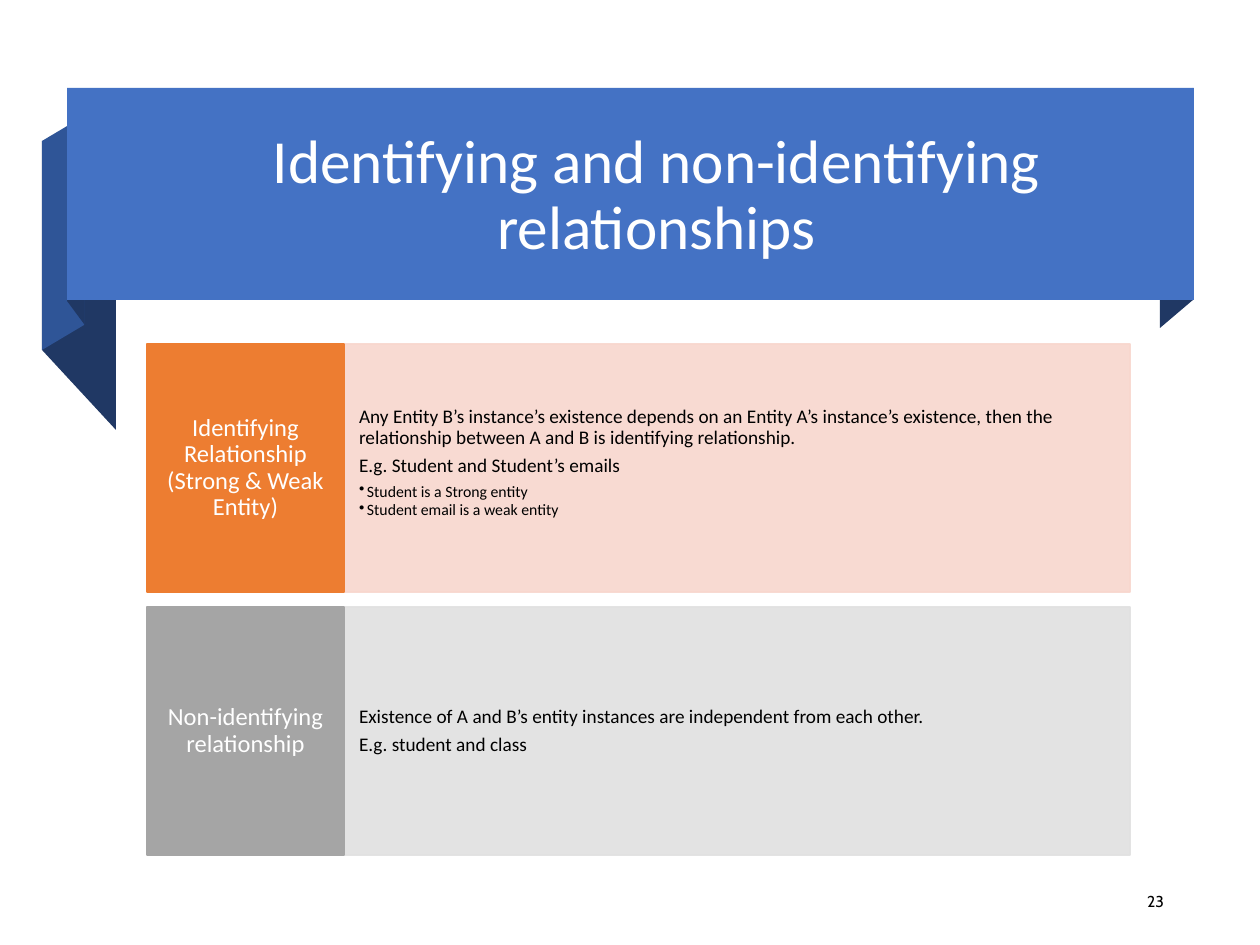
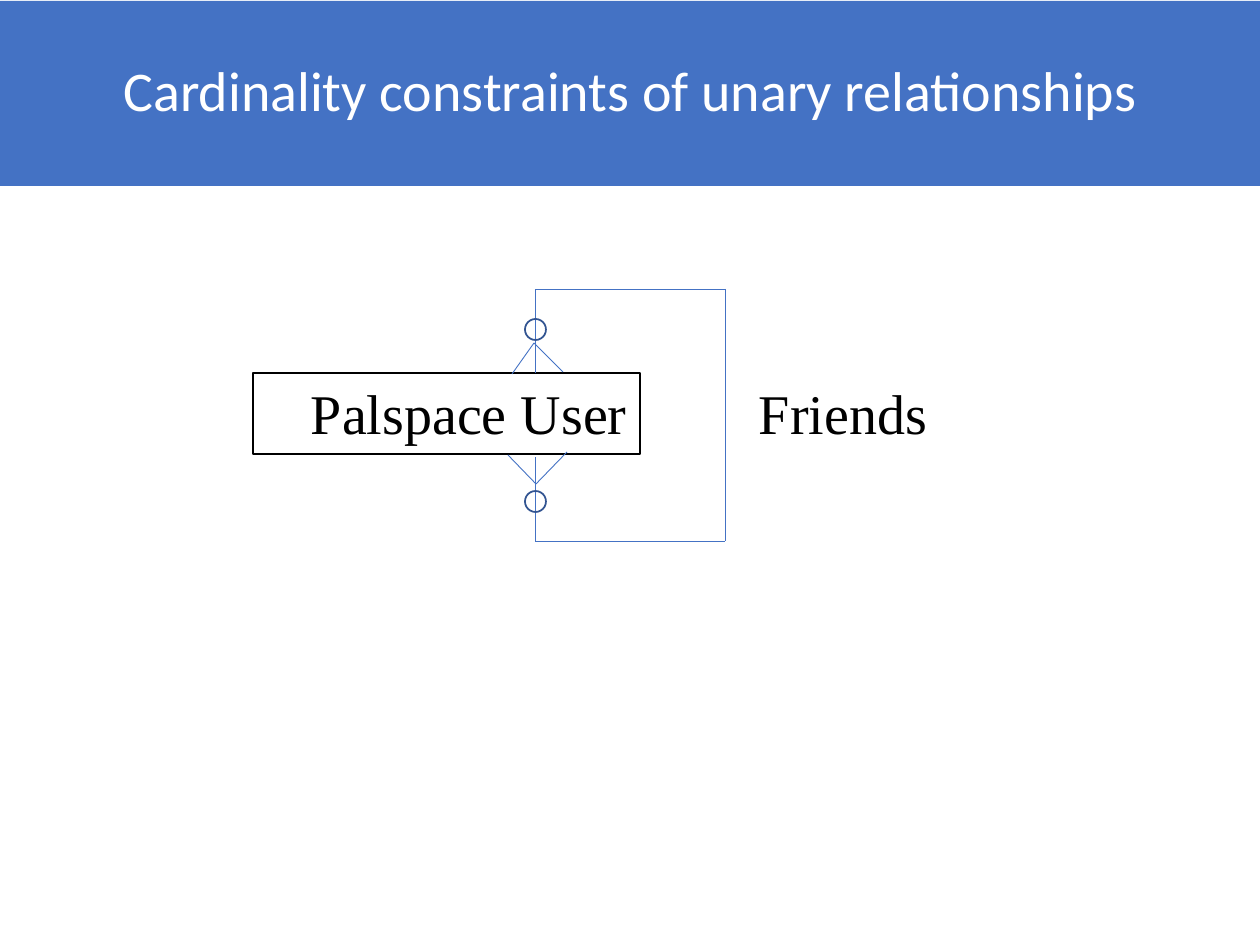
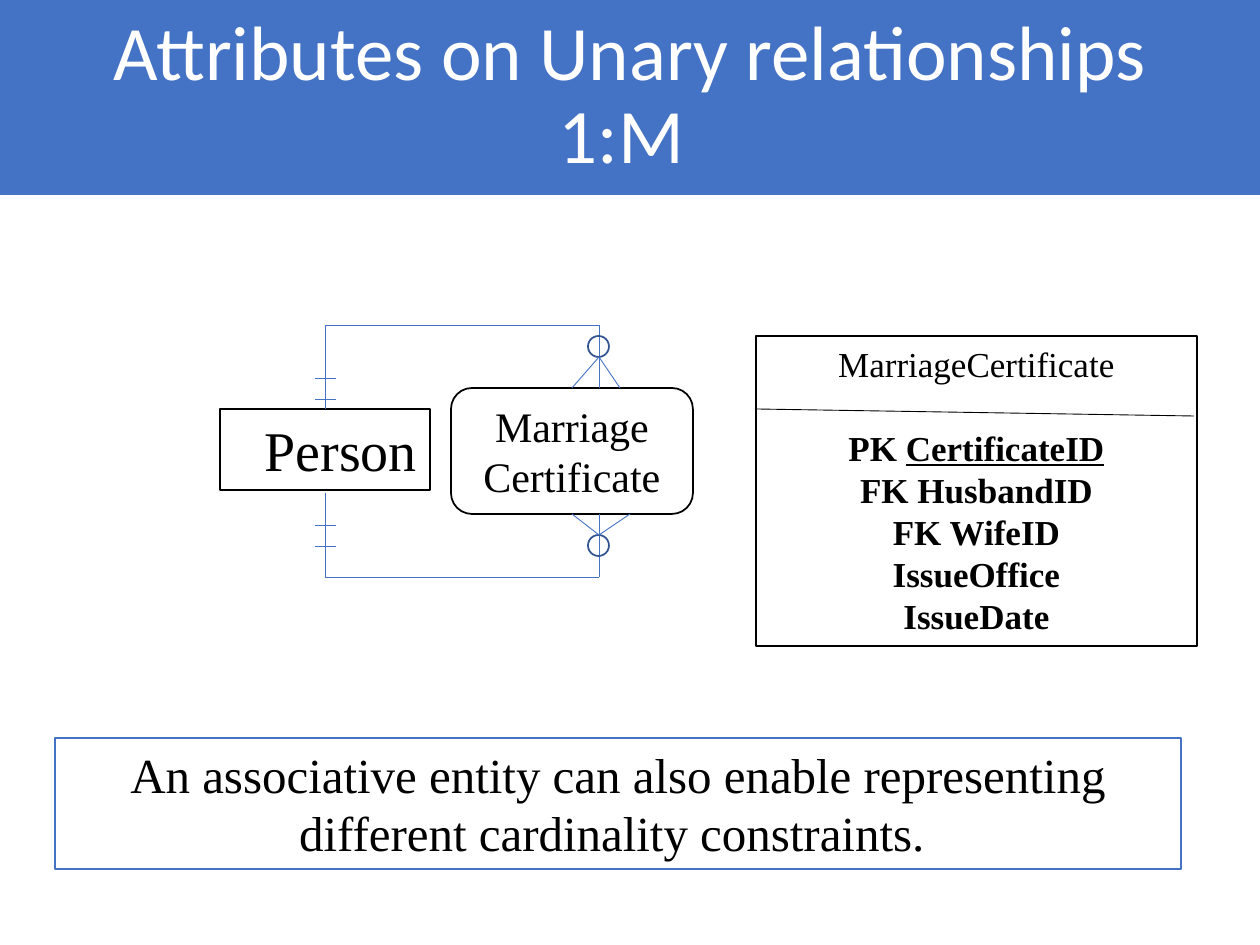
import dataclasses
import itertools
import typing

import lxml.etree
import pptx
import pptx.dml.color
import pptx.enum.shapes
import pptx.enum.text
import pptx.oxml.ns
import pptx.util

PX = 914400 / 126
COLORS = {
    "band": "4472C4",
    "fold": "203864",
    "side": "2F5597",
    "circle": "325491",
    "orange": "ED7D31",
    "orange_pale": "F8D7CE",
    "gray": "A5A5A5",
    "gray_pale": "E1E1E1",
    "black": "000000",
    "white": "FFFFFF",
}
SANS = "Calibri"
SERIF = "Times New Roman"
SHAPE = pptx.enum.shapes.MSO_SHAPE
ALIGN = pptx.enum.text.PP_ALIGN
ANCHOR = pptx.enum.text.MSO_ANCHOR
CIRCLE_SIZE = 21

Point = tuple[int, int]


@dataclasses.dataclass(frozen=True)
class Box:
    left: int
    top: int
    width: int
    height: int

    def emu(self) -> list[int]:
        return [px(length) for length in dataclasses.astuple(self)]


@dataclasses.dataclass(frozen=True)
class TextStyle:
    size: int
    font: str = SERIF
    color: str = "black"
    align: typing.Any = ALIGN.LEFT
    bold: bool = False
    spacing: float = 1.0
    before: int = 0
    after: int = 0
    bullet: bool = False


@dataclasses.dataclass(frozen=True)
class Line:
    text: str
    style: TextStyle
    underlined: str = ""


@dataclasses.dataclass(frozen=True)
class Panel:
    label: str
    color: str
    pale: str
    lines: list[Line]
    anchor: typing.Any


@dataclasses.dataclass(frozen=True)
class Segment:
    begin: Point
    end: Point
    color: str = "band"


ENTITY = TextStyle(32, align=ALIGN.RIGHT)
FIELD = TextStyle(20, align=ALIGN.CENTER, bold=True)
LABEL = TextStyle(14, SANS, "white", ALIGN.CENTER, spacing=0.9)
BODY = TextStyle(11, SANS, spacing=0.9, after=4)
BULLET = TextStyle(9, SANS, spacing=0.9, after=1, bullet=True)

FOLDS = [
    ("fold", [(1193, 300), (1160, 328), (1160, 115), (1193, 88)]),
    ("fold", [(116, 430), (42, 350), (42, 141), (116, 220)]),
    ("side", [(84, 325), (42, 350), (42, 141), (84, 116)]),
    ("fold", [(84, 324), (67, 301), (67, 88), (84, 112)]),
]

PANELS = [
    Panel(
        "Identifying Relationship (Strong & Weak Entity)", "orange", "orange_pale",
        [
            Line("Any Entity B’s instance’s existence depends on an Entity A’s instance’s "
                 "existence, then the relationship between A and B is identifying relationship.", BODY),
            Line("E.g. Student and Student’s emails", BODY),
            Line("Student is a Strong entity", BULLET),
            Line("Student email is a weak entity", BULLET),
        ],
        ANCHOR.TOP,
    ),
    Panel(
        "Non-identifying relationship", "gray", "gray_pale",
        [
            Line("Existence of A and B’s entity instances are independent from each other.", BODY),
            Line("E.g. student and class", BODY),
        ],
        ANCHOR.MIDDLE,
    ),
]


def px(length: float) -> int:
    return round(length * PX)


def rgb(name: str) -> pptx.dml.color.RGBColor:
    return pptx.dml.color.RGBColor.from_string(COLORS[name])


def paint(shape, fill: str = "", line: str = "", width: float = 1) -> None:
    shape.shadow.inherit = False
    if fill:
        shape.fill.solid()
        shape.fill.fore_color.rgb = rgb(fill)
    else:
        shape.fill.background()
    if line:
        shape.line.color.rgb = rgb(line)
        shape.line.width = pptx.util.Pt(width)
    else:
        shape.line.fill.background()


def set_opacity(shape, percent: int) -> None:
    for color in shape.element.spPr.iter(pptx.oxml.ns.qn("a:srgbClr")):
        alpha = lxml.etree.SubElement(color, pptx.oxml.ns.qn("a:alpha"))
        alpha.set("val", str(percent * 1000))


def add_bullet(paragraph) -> None:
    properties = paragraph._p.get_or_add_pPr()
    properties.set("marL", str(px(8)))
    properties.set("indent", str(px(-8)))
    bullet = lxml.etree.SubElement(properties, pptx.oxml.ns.qn("a:buChar"))
    bullet.set("char", "•")


def write(shape, lines: list[Line], anchor=ANCHOR.TOP, inset: Point = (13, 6)) -> None:
    frame = shape.text_frame
    frame.word_wrap = True
    frame.auto_size = pptx.enum.text.MSO_AUTO_SIZE.NONE
    frame.vertical_anchor = anchor
    frame.margin_left = frame.margin_right = px(inset[0])
    frame.margin_top = frame.margin_bottom = px(inset[1])
    for index, line in enumerate(lines):
        paragraph = frame.add_paragraph() if index else frame.paragraphs[0]
        style = line.style
        paragraph.text = line.text
        if line.underlined:
            run = paragraph.add_run()
            run.text = line.underlined
            run.font.underline = True
        if style.bullet:
            add_bullet(paragraph)
        paragraph.alignment = style.align
        paragraph.line_spacing = style.spacing
        paragraph.space_before = pptx.util.Pt(style.before)
        paragraph.space_after = pptx.util.Pt(style.after)
        paragraph.font.name = style.font
        paragraph.font.size = pptx.util.Pt(style.size)
        paragraph.font.bold = style.bold
        paragraph.font.color.rgb = rgb(style.color)


def add_box(slide, box: Box, fill: str = "", line: str = "", width: float = 0.75,
            kind=SHAPE.RECTANGLE):
    shape = slide.shapes.add_shape(kind, *box.emu())
    paint(shape, fill, line, width)
    return shape


def add_text(slide, box: Box, line: Line, anchor=ANCHOR.TOP) -> None:
    write(slide.shapes.add_textbox(*box.emu()), [line], anchor)


def add_segment(slide, segment: Segment):
    connector = slide.shapes.add_connector(
        pptx.enum.shapes.MSO_CONNECTOR.STRAIGHT,
        *[px(length) for length in segment.begin + segment.end])
    connector.line.color.rgb = rgb(segment.color)
    connector.line.width = pptx.util.Pt(0.5)
    lxml.etree.SubElement(connector.element.spPr, pptx.oxml.ns.qn("a:effectLst"))
    return connector


def add_route(slide, points: list[Point]) -> list:
    return [add_segment(slide, Segment(begin, end)) for begin, end in itertools.pairwise(points)]


def add_circle(slide, left: int, top: int) -> None:
    add_box(slide, Box(left, top, CIRCLE_SIZE, CIRCLE_SIZE), line="circle", width=1, kind=SHAPE.OVAL)


def add_titled_slide(presentation, title: str, size: int, box: Box, fill: str = "band"):
    slide = presentation.slides.add_slide(presentation.slide_layouts[5])
    shape = slide.shapes.title
    shape.left, shape.top, shape.width, shape.height = box.emu()
    if fill:
        shape.fill.solid()
        shape.fill.fore_color.rgb = rgb(fill)
    style = TextStyle(size, SANS, "white", ALIGN.CENTER, spacing=0.9)
    write(shape, [Line(title, style)], ANCHOR.MIDDLE)
    return slide


def add_ribbon(slide) -> None:
    for color, points in FOLDS:
        builder = slide.shapes.build_freeform(*points[0], scale=PX)
        builder.add_line_segments(points[1:], close=True)
        paint(builder.convert_to_shape(), color)
    add_box(slide, Box(67, 88, 1127, 212), "band")
    title = slide.shapes.title.element
    title.getparent().append(title)


def add_panel(slide, panel: Panel, top: int) -> None:
    description = add_box(slide, Box(344, top, 786, 248), panel.pale, panel.pale, 1)
    set_opacity(description, 90)
    write(description, panel.lines, panel.anchor, (15, 63))
    label = add_box(slide, Box(147, top, 197, 248), panel.color, panel.color, 1)
    write(label, [Line(panel.label, LABEL)], ANCHOR.MIDDLE, (10, 24))


def build_identifying(presentation) -> None:
    slide = add_titled_slide(presentation, "Identifying and non-identifying relationships",
                             35, Box(140, 105, 1033, 183), fill="")
    add_ribbon(slide)
    add_text(slide, Box(1106, 879, 71, 44),
             Line("23", TextStyle(9, "Cabin", align=ALIGN.RIGHT)), ANCHOR.MIDDLE)
    for index, panel in enumerate(PANELS):
        add_panel(slide, panel, 344 + 263 * index)


def build_cardinality(presentation) -> None:
    slide = add_titled_slide(presentation, "Cardinality constraints of unary relationships",
                             32, Box(0, 1, 1261, 185))
    user = add_box(slide, Box(253, 373, 387, 81), line="black")
    write(user, [Line("Palspace User", ENTITY)])
    add_text(slide, Box(746, 373, 325, 81), Line("Friends", TextStyle(32)))
    add_route(slide, [(535, 373), (535, 289), (725, 289), (725, 541), (535, 541), (535, 457)])
    for top in (319, 491):
        add_circle(slide, 525, top)
    add_route(slide, [(512, 374), (534, 343), (563, 372)])
    add_route(slide, [(508, 455), (536, 484), (567, 452)])


def build_attributes(presentation) -> None:
    slide = add_titled_slide(presentation, "Attributes on Unary relationships\v1:M ",
                             44, Box(0, 0, 1261, 195))
    person = add_box(slide, Box(220, 409, 210, 81), line="black")
    write(person, [Line("Person", ENTITY)])
    certificate = add_box(slide, Box(451, 388, 242, 126), line="black", width=1,
                          kind=SHAPE.ROUNDED_RECTANGLE)
    write(certificate, [Line("Marriage Certificate", TextStyle(24, align=ALIGN.CENTER))],
          ANCHOR.MIDDLE)

    upper = add_route(slide, [(325, 409), (325, 325), (599, 325), (599, 388)])
    upper[0].begin_connect(person, 0)
    add_route(slide, [(325, 493), (325, 577), (599, 577), (599, 514)])
    for tick in (378, 399, 525, 546):
        add_segment(slide, Segment((315, tick), (336, tick)))
    for top in (336, 535):
        add_circle(slide, 588, top)
    for apex, side, right, site in ((357, 388, 620, 0), (535, 514, 630, 2)):
        foot = add_route(slide, [(572, side), (599, apex), (right, side)])
        foot[0].begin_connect(certificate, site)

    fields = add_box(slide, Box(756, 336, 441, 310), line="black")
    write(fields, [
        Line("MarriageCertificate", dataclasses.replace(FIELD, bold=False)),
        Line("PK ", dataclasses.replace(FIELD, before=24), "CertificateID"),
        Line("FK HusbandID", FIELD),
        Line("FK WifeID\vIssueOffice", FIELD),
        Line("IssueDate", FIELD),
    ])
    add_segment(slide, Segment((755, 409), (1194, 416), "black"))
    note = add_box(slide, Box(55, 738, 1126, 131), line="band")
    write(note, [Line("An associative entity can also enable representing different "
                      "cardinality constraints. ", TextStyle(28, align=ALIGN.CENTER))])


def main() -> None:
    presentation = pptx.Presentation()
    presentation.slide_width = px(1260)
    presentation.slide_height = px(945)
    build_identifying(presentation)
    build_cardinality(presentation)
    build_attributes(presentation)
    presentation.save("out.pptx")


if __name__ == "__main__":
    main()
